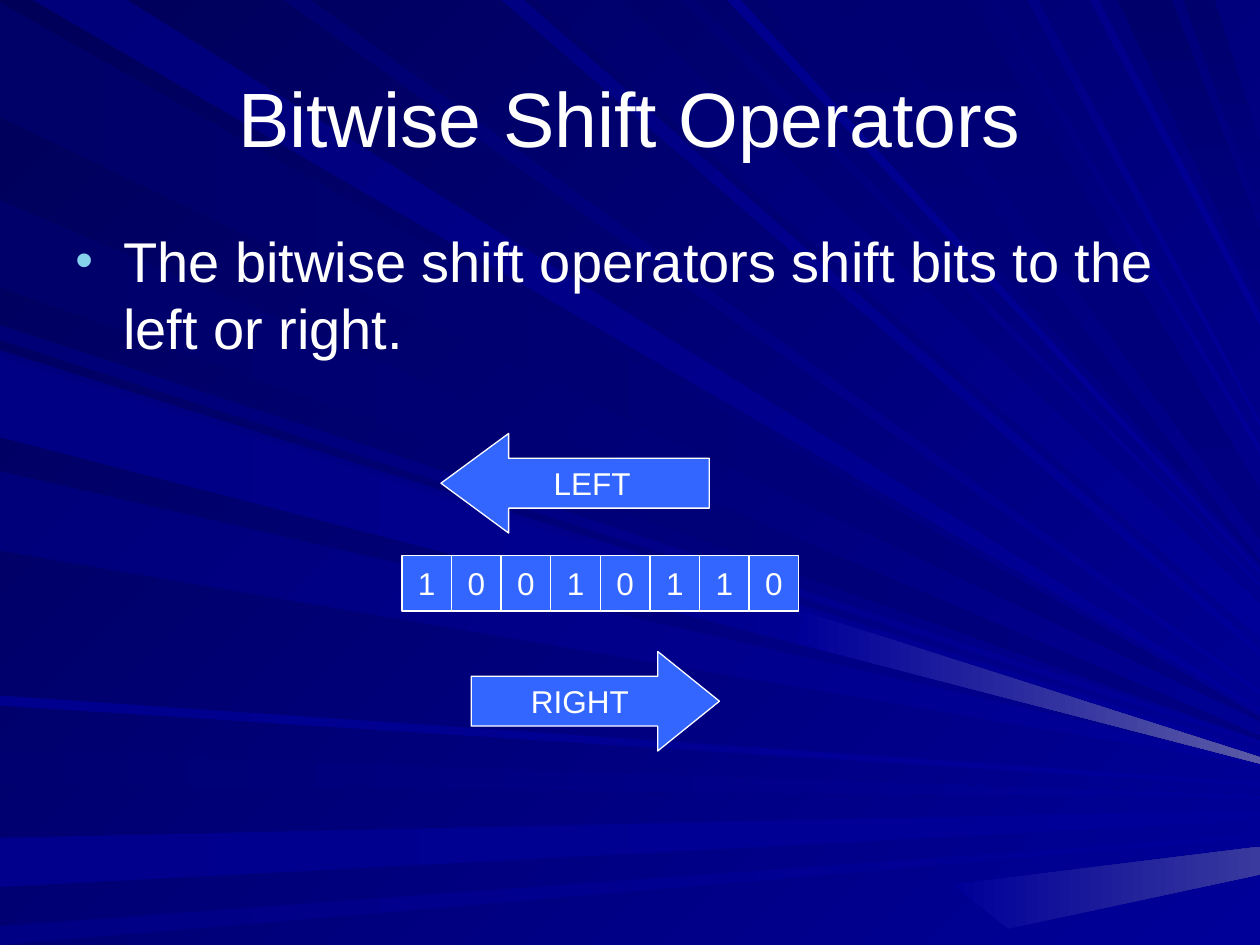
"""Build the slide on bitwise shift operators over a background of light rays."""
from typing import NamedTuple

from lxml import etree
from pptx import Presentation
from pptx.dml.color import RGBColor
from pptx.enum.shapes import MSO_SHAPE
from pptx.enum.text import MSO_ANCHOR, PP_ALIGN
from pptx.oxml.ns import qn
from pptx.util import Inches, Pt

RECTANGLE, LEFT_ARROW, RIGHT_ARROW = MSO_SHAPE.RECTANGLE, MSO_SHAPE.LEFT_ARROW, MSO_SHAPE.RIGHT_ARROW
MIDDLE, TOP = MSO_ANCHOR.MIDDLE, MSO_ANCHOR.TOP
CENTER, LEFT = PP_ALIGN.CENTER, PP_ALIGN.LEFT
FONT = "Arial"
WIDTH, HEIGHT = 10, 7.5
NAVY_LEVELS = "58 69 6B 6D 70 71 73 76 78 7B 7E 80 83 85 8A 8C 8E 99"
COLORS = {
    "white": "FFFFFF",
    "box": "3366FF",
    "bullet": "86D1EC",
    "haze39": "39399E",
    "haze5A": "5A5AA6",
    **{f"navy{level}": f"0000{level}" for level in NAVY_LEVELS.split()},
}


class Ray(NamedTuple):
    """A ray from a stretch of one slide edge to a tip on the right edge."""
    shade: str
    start: float
    stop: float
    tip: float
    spread: float = 0.03


class Fan(NamedTuple):
    """Rays that leave the same edge and fade alike."""
    from_top: bool
    end: str
    angle: int
    rays: tuple


class Block(NamedTuple):
    """A labelled preset shape with its place in inches."""
    label: str
    preset: MSO_SHAPE
    left: float
    top: float
    width: float
    height: float
    head: float = 0


FANS = (
    Fan(False, "navy80", 0, (
        Ray("navy69", 0.02, 0.93, 5.69),
        Ray("navy6B", 1.59, 2.28, 5.84),
    )),
    Fan(True, "navy99", 45, (
        Ray("navy7B", 0.26, 1.01, 5.62),
        Ray("navy83", 3.98, 4.16, 5.15, 0.06),
        Ray("navy6D", 4.26, 4.92, 4.79, 0.28),
        Ray("navy73", 5.4, 5.52, 4.63),
    )),
    Fan(False, "navy99", 0, (
        Ray("navy71", 5.96, 6.23, 6.31),
        Ray("navy8C", 6.65, 7.04, 6.43, 0.08),
        Ray("navy85", 7.35, 7.5, 6.62),
        Ray("navy8E", 5.52, 5.6, 6.21),
    )),
    Fan(True, "navy80", 90, (
        Ray("navy73", 6.06, 6.61, 4.45),
        Ray("navy6B", 8.87, 9.3, 1.83, 0.54),
        Ray("navy6D", 9.39, 9.64, 1.14, 0.53),
        Ray("navy73", 6.86, 7.7, 3.9, 0.38),
    )),
    Fan(False, "navy99", 45, (
        Ray("navy76", 2.58, 2.7, 5.88),
        Ray("navy7E", 2.78, 3.42, 5.96, 0.06),
        Ray("navy7B", 3.74, 4.37, 6.05),
    )),
    Fan(True, "navy99", 45, (
        Ray("navy70", 2.25, 2.47, 5.47, 0.05),
        Ray("navy8E", 5.77, 5.88, 4.53),
        Ray("navy78", 7.85, 7.92, 3.54, 0.06),
        Ray("navy85", 8.15, 8.24, 3.35),
        Ray("navy8A", 8.65, 8.72, 2.49, 0.09),
    )),
    Fan(False, "navy99", 0, (Ray("navy85", 2.83, 3.47, 6.01, 0.05),)),
)
HAZES = {
    "haze39": ((7.56, 7.02), (WIDTH, 6.72), (WIDTH, 6.94), (8, 7.37)),
    "haze5A": ((6.37, 4.85), (WIDTH, 6.01), (WIDTH, 6.06), (6.33, 5.11)),
}

BITS = "10010110"
BIT_WIDTH = 3.15 / len(BITS)
BLOCKS = [
    *(Block(bit, RECTANGLE, 3.19 + place * BIT_WIDTH, 4.41, BIT_WIDTH, 0.44) for place, bit in enumerate(BITS)),
    Block("LEFT", LEFT_ARROW, 3.5, 3.44, 2.13, 0.79, 0.68),
    Block("RIGHT", RIGHT_ARROW, 3.74, 5.17, 1.97, 0.79, 0.62),
]


def rgb(name: str) -> RGBColor:
    """Return the named colour."""
    return RGBColor.from_string(COLORS[name])


def paint(fill, start: str, end: str, angle: int) -> None:
    """Fill with a gradient turned clockwise by the angle."""
    fill.gradient()
    fill.gradient_angle = -angle % 360
    for stop, name in zip(fill.gradient_stops, (start, end)):
        stop.color.rgb = rgb(name)


def draw_outline(slide, points: tuple, start: str, end: str, angle: int) -> None:
    """Draw a closed outline with a gradient and no line."""
    corners = [(Inches(x), Inches(y)) for x, y in points]
    builder = slide.shapes.build_freeform(*corners[0])
    builder.add_line_segments(corners[1:], close=True)
    outline = builder.convert_to_shape()
    outline.shadow.inherit = False
    outline.line.fill.background()
    paint(outline.fill, start, end, angle)


def draw_fan(slide, fan: Fan) -> None:
    """Draw every ray of a fan."""
    for ray in fan.rays:
        upper, lower = (WIDTH, ray.tip), (WIDTH, ray.tip + ray.spread)
        if fan.from_top:
            points = ((ray.start, 0), (ray.stop, 0), upper, lower)
        else:
            points = ((0, ray.start), upper, lower, (0, ray.stop))
        draw_outline(slide, points, ray.shade, fan.end, fan.angle)


def write(frame, text: str, size: int, align: PP_ALIGN, anchor: MSO_ANCHOR, wrap: bool) -> None:
    """Set the text of a frame and format it."""
    frame.text = text
    frame.word_wrap = wrap
    frame.vertical_anchor = anchor
    paragraph = frame.paragraphs[0]
    paragraph.alignment = align
    font = paragraph.runs[0].font
    font.name, font.size = FONT, Pt(size)
    font.color.rgb = rgb("white")


def draw_block(slide, block: Block) -> None:
    """Draw one labelled bit or arrow."""
    place = (Inches(value) for value in (block.left, block.top, block.width, block.height))
    shape = slide.shapes.add_shape(block.preset, *place)
    shape.shadow.inherit = False
    shape.fill.solid()
    shape.fill.fore_color.rgb = rgb("box")
    shape.line.color.rgb = rgb("white")
    shape.line.width = Pt(0.75)
    if block.head:
        shape.adjustments[1] = block.head
    write(shape.text_frame, block.label, 18, CENTER, MIDDLE, False)


def add_bullet(paragraph) -> None:
    """Give a paragraph a coloured bullet and a hanging indent."""
    properties = paragraph._p.get_or_add_pPr()
    indent = Inches(0.38)
    properties.set("marL", str(indent))
    properties.set("indent", str(-indent))
    color = etree.SubElement(properties, qn("a:buClr"))
    etree.SubElement(color, qn("a:srgbClr"), val=COLORS["bullet"])
    etree.SubElement(properties, qn("a:buSzPct"), val="90000")
    etree.SubElement(properties, qn("a:buFont"), typeface=FONT)
    etree.SubElement(properties, qn("a:buChar"), char="•")


def main() -> None:
    """Build and save the slide."""
    deck = Presentation()
    deck.slide_width, deck.slide_height = Inches(WIDTH), Inches(HEIGHT)
    slide = deck.slides.add_slide(deck.slide_layouts[6])
    paint(slide.background.fill, "navy58", "navy99", 45)
    for fan in FANS:
        draw_fan(slide, fan)
    for haze, points in HAZES.items():
        draw_outline(slide, points, "navy99", haze, 0)

    title = slide.shapes.add_textbox(Inches(0.5), Inches(0.3), Inches(9), Inches(1.25))
    write(title.text_frame, "Bitwise Shift Operators", 44, CENTER, MIDDLE, True)
    statement = slide.shapes.add_textbox(Inches(0.5), Inches(1.75), Inches(9), Inches(1.45))
    write(statement.text_frame, "The bitwise shift operators shift bits to the left or right.", 32, LEFT, TOP, True)
    add_bullet(statement.text_frame.paragraphs[0])

    for block in BLOCKS:
        draw_block(slide, block)
    deck.save("out.pptx")


if __name__ == "__main__":
    main()
